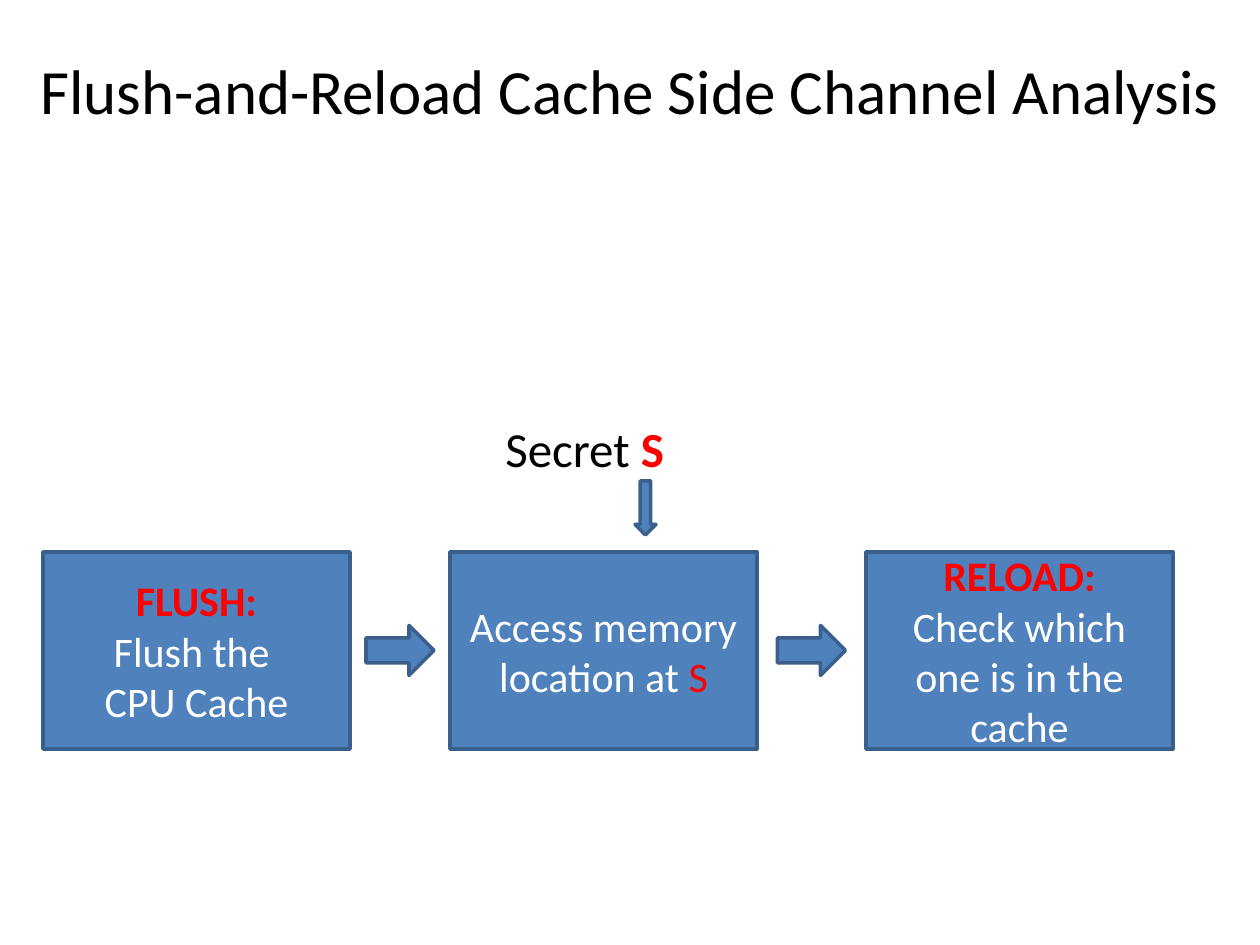
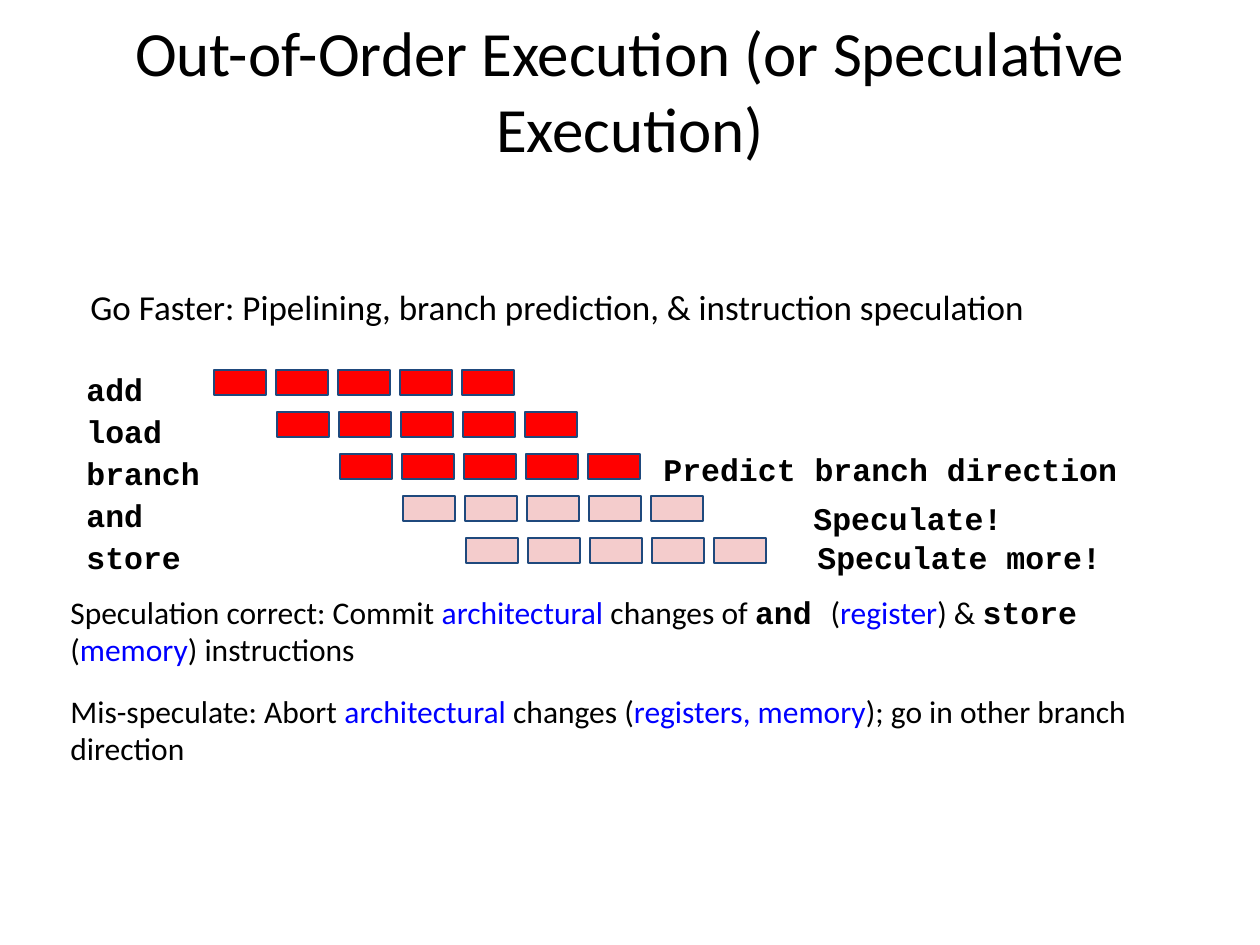
import pptx
import pptx.util
import pptx.dml.color
import pptx.enum.shapes
import pptx.enum.text

SCALE = 914400 / 126  # EMU in one pixel
SHAPE = pptx.enum.shapes.MSO_SHAPE
ALIGN = pptx.enum.text.PP_ALIGN
ANCHOR = pptx.enum.text.MSO_ANCHOR

COLORS = {
    "black": "000000", "white": "FFFFFF", "red": "FF0000", "blue": "0000FF",
    "box": "4F81BD", "box_edge": "3A5F8C",
    "speculated": "F4CCCC", "stage_edge": "1F497D",
}
SANS, MONO = "Calibri", "Courier New"

# What marked runs change against their paragraph
MARKS = {
    "heading": {"color": "red", "bold": True},
    "secret": {"color": "red"},
    "state": {"color": "blue"},
    "code": {"face": MONO, "bold": True},
}

TITLE_BOX = (21, 10, 1218, 158)

# Slide 1: attack steps, a paragraph being a list of (text, mark)
ATTACK_TITLE = "Flush-and-Reload Cache Side Channel Analysis"
STEP_TOP, STEP_SIZE = 552, (307, 197)
STEPS = [
    (43, [[("FLUSH:", "heading")], [("Flush the ", None)], [("CPU Cache", None)]]),
    (450, [[("Access memory location at ", None), ("S", "secret")]]),
    (866, [[("RELOAD:", "heading")], [("Check which one is in the cache", None)]]),
]
SECRET = [[("Secret", None), (" S", "heading")]]
SECRET_BOX = (493, 412, 227, 72)
SECRET_ARROW = (635, 481, 21, 54)
ARROW_SIZE = (68, 50)

# Slide 2: pipeline of instructions
PIPELINE_TITLE = "Out-of-Order Execution (or Speculative Execution)"
GO_FASTER = "Go Faster: Pipelining, branch prediction, & instruction speculation"
GO_FASTER_BOX = (78, 273, 1004, 53)
INSTRUCTIONS = [  # name, label width, stage colour
    ("add", 112, "red"),
    ("load", 112, "red"),
    ("branch", 140, "red"),
    ("and", 112, "speculated"),
    ("store", 127, "speculated"),
]
STAGES = 5
STAGE_LEFT, STAGE_TOP, STAGE_SIZE = 214, 370, (52, 25)
ROW_SHIFT, STAGE_PITCH, ROW_PITCH = 63, 62, 42
LABEL_LEFT, LABEL_TOP, LABEL_HEIGHT = 74, 357, 53
REMARKS = [
    ("Predict branch direction", (651, 437, 488, 53)),
    ("Speculate!", (801, 486, 333, 53)),
    ("Speculate more!", (805, 525, 344, 53)),
]
OUTCOMES = [
    ((58, 580, 1085, 53), [
        ("Speculation correct: Commit ", None), ("architectural", "state"),
        (" changes of ", None), ("and ", "code"), ("(", None),
        ("register", "state"), (") & ", None), ("store", "code"),
        (" (", None), ("memory", "state"), (") instructions", None)]),
    ((58, 679, 1166, 53), [
        ("Mis-speculate: Abort ", None), ("architectural", "state"),
        (" changes (", None), ("registers, memory", "state"),
        ("); go in other branch direction", None)]),
]


def px(*lengths):
    """Turn pixels into EMU."""
    return [pptx.util.Emu(round(length * SCALE)) for length in lengths]


def rgb(name):
    """Look up a colour by its name."""
    return pptx.dml.color.RGBColor.from_string(COLORS[name])


def set_font(font, color=None, bold=None, face=None, size=None):
    """Set only the font properties that are given."""
    if color:
        font.color.rgb = rgb(color)
    if bold is not None:
        font.bold = bold
    if face:
        font.name = face
    if size:
        font.size = pptx.util.Pt(size)


def write(frame, paragraphs, size, color="black", face=SANS, bold=False,
          align=ALIGN.LEFT, anchor=ANCHOR.TOP):
    """Fill a text frame with paragraphs of marked runs."""
    frame.word_wrap = True
    frame.vertical_anchor = anchor
    for number, runs in enumerate(paragraphs):
        paragraph = frame.add_paragraph() if number else frame.paragraphs[0]
        paragraph.alignment = align
        set_font(paragraph.font, color, bold, face, size)
        for text, mark in runs:
            run = paragraph.add_run()
            run.text = text
            set_font(run.font, **MARKS.get(mark, {}))


def add_text(slide, box, paragraphs, size, inset=None, **style):
    """Add a text box, with an equal inset above and below if given."""
    frame = slide.shapes.add_textbox(*px(*box)).text_frame
    if inset:
        frame.margin_top = frame.margin_bottom = pptx.util.Inches(inset)
    write(frame, paragraphs, size, **style)


def add_block(slide, kind, box, fill="box", edge="box_edge", weight=2):
    """Add a filled, outlined shape without a shadow."""
    block = slide.shapes.add_shape(kind, *px(*box))
    block.shadow.inherit = False
    block.fill.solid()
    block.fill.fore_color.rgb = rgb(fill)
    block.line.color.rgb = rgb(edge)
    block.line.width = pptx.util.Pt(weight)
    return block


def add_titled_slide(deck, title):
    """Add a blank slide with the shared title style."""
    slide = deck.slides.add_slide(deck.slide_layouts[6])
    add_text(slide, TITLE_BOX, [[(title, None)]], 36,
             align=ALIGN.CENTER, anchor=ANCHOR.MIDDLE)
    return slide


def build_attack(deck):
    """Draw the three attack steps, the arrows and the secret."""
    slide = add_titled_slide(deck, ATTACK_TITLE)
    width, height = STEP_SIZE
    for left, paragraphs in STEPS:
        step = add_block(slide, SHAPE.RECTANGLE, (left, STEP_TOP, width, height))
        write(step.text_frame, paragraphs, 24, "white",
              align=ALIGN.CENTER, anchor=ANCHOR.MIDDLE)
    add_text(slide, SECRET_BOX, SECRET, 28)
    add_block(slide, SHAPE.DOWN_ARROW, SECRET_ARROW)
    arrow_width, arrow_height = ARROW_SIZE
    arrow_top = STEP_TOP + (height - arrow_height) / 2
    for (left, _), (next_left, _) in zip(STEPS, STEPS[1:]):
        middle = (left + width + next_left) / 2
        add_block(slide, SHAPE.RIGHT_ARROW,
                  (middle - arrow_width / 2, arrow_top, *ARROW_SIZE))


def build_pipeline(deck):
    """Draw the staggered pipeline with its remarks and outcomes."""
    slide = add_titled_slide(deck, PIPELINE_TITLE)
    code = {"size": 18, "face": MONO, "bold": True, "inset": 0.1}
    add_text(slide, GO_FASTER_BOX, [[(GO_FASTER, None)]], 20, inset=0.1)
    for row, (name, width, fill) in enumerate(INSTRUCTIONS):
        drop = row * ROW_PITCH
        add_text(slide, (LABEL_LEFT, LABEL_TOP + drop, width, LABEL_HEIGHT),
                 [[(name, None)]], **code)
        for stage in range(STAGES):
            left = STAGE_LEFT + row * ROW_SHIFT + stage * STAGE_PITCH
            add_block(slide, SHAPE.RECTANGLE,
                      (left, STAGE_TOP + drop, *STAGE_SIZE),
                      fill, "stage_edge", 0.75)
    for remark, box in REMARKS:
        add_text(slide, box, [[(remark, None)]], **code)
    for box, runs in OUTCOMES:
        add_text(slide, box, [runs], 18, inset=0.1)


deck = pptx.Presentation()
deck.slide_width, deck.slide_height = px(1260, 945)
build_attack(deck)
build_pipeline(deck)
deck.save("out.pptx")
